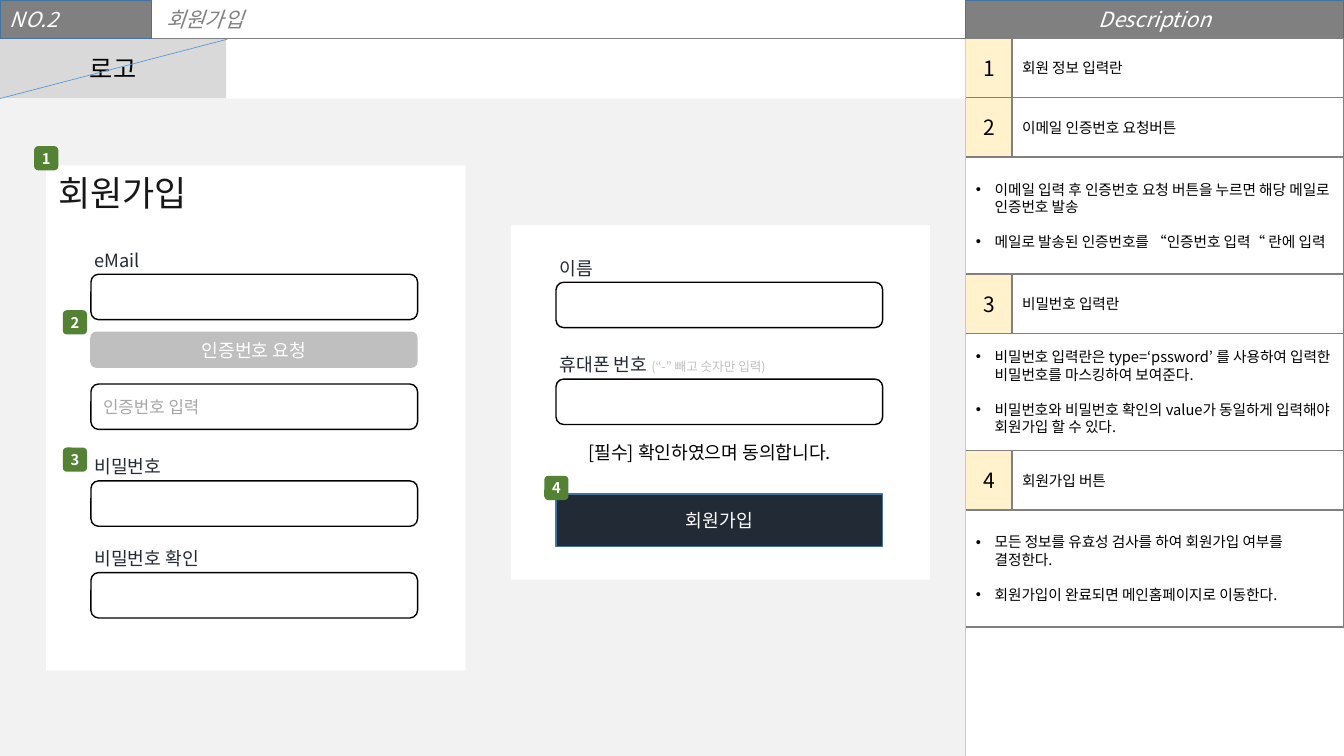
import collections

import lxml.etree
import pptx
import pptx.dml.color
import pptx.enum.shapes
import pptx.enum.text
import pptx.oxml.ns
import pptx.util

Pt = pptx.util.Pt
RGBColor = pptx.dml.color.RGBColor
SHAPE = pptx.enum.shapes.MSO_SHAPE
ALIGN = pptx.enum.text.PP_ALIGN
qn = pptx.oxml.ns.qn
Box = collections.namedtuple("Box", "left top width height")

WHITE = RGBColor(0xFF, 0xFF, 0xFF)
BLACK = RGBColor(0x00, 0x00, 0x00)
GRAY = RGBColor(0x80, 0x80, 0x80)
HINT = RGBColor(0xA6, 0xA6, 0xA6)
SILVER = RGBColor(0xBF, 0xBF, 0xBF)
LOGO_GRAY = RGBColor(0xD9, 0xD9, 0xD9)
CANVAS = RGBColor(0xF2, 0xF2, 0xF2)
CREAM = RGBColor(0xFF, 0xF2, 0xCC)
GREEN = RGBColor(0x54, 0x82, 0x35)
NAVY = RGBColor(0x22, 0x2A, 0x35)
INK = RGBColor(0x18, 0x17, 0x17)
BLUE = RGBColor(0x5B, 0x9B, 0xD5)
DARK_BLUE = RGBColor(0x43, 0x73, 0x9E)

FONT = "Noto Sans CJK KR"
HEADER_HEIGHT = 27.4
ROW_HEIGHT = 42.4
DETAIL_HEIGHT = 83.6
NUMBER_WIDTH = 33.2
FIELD_WIDTH = 233.3
FIELD_HEIGHT = 32.4
LABEL_HEIGHT = 23
BADGE_SIZE = 17.3
LINE_PITCH = 12.5
BULLET_INDENT = 13.5

DESCRIPTIONS = [
    ("회원 정보 입력란", []),
    ("이메일 인증번호 요청버튼", [
        "이메일 입력 후 인증번호 요청 버튼을 누르면 해당 메일로 인증번호 발송",
        "메일로 발송된 인증번호를 “인증번호 입력“ 란에 입력"]),
    ("비밀번호 입력란", [
        "비밀번호 입력란은 type=‘pssword’ 를 사용하여 입력한 비밀번호를 마스킹하여 보여준다.",
        "비밀번호와 비밀번호 확인의 value가 동일하게 입력해야 회원가입 할 수 있다."]),
    ("회원가입 버튼", [
        "모든 정보를 유효성 검사를 하여 회원가입 여부를 결정한다.",
        "회원가입이 완료되면 메인홈페이지로 이동한다."]),
]


def style_font(font, size, color, bold=False, italic=False):
    font.size, font.bold, font.italic = Pt(size), bold, italic
    font.color.rgb = color
    font.name = FONT
    latin = font._rPr.find(qn("a:latin"))
    latin.addnext(latin.makeelement(qn("a:ea"), {"typeface": FONT}))


def prepare_frame(shape):
    frame = shape.text_frame
    frame.word_wrap = True
    frame.auto_size = pptx.enum.text.MSO_AUTO_SIZE.NONE
    frame.vertical_anchor = pptx.enum.text.MSO_ANCHOR.MIDDLE
    return frame


def write(shape, text, size, color, align=ALIGN.LEFT, bold=False, italic=False):
    paragraph = prepare_frame(shape).paragraphs[0]
    paragraph.text = text
    paragraph.alignment = align
    style_font(paragraph.font, size, color, bold, italic)


def paint(shape, fill, line):
    if fill is None:
        shape.fill.background()
    else:
        shape.fill.solid()
        shape.fill.fore_color.rgb = fill
    if line is None:
        shape.line.fill.background()
    else:
        shape.line.color.rgb = line
        shape.line.width = Pt(1)


def add_block(slide, box, fill=None, line=None, kind=SHAPE.RECTANGLE):
    shape = slide.shapes.add_shape(kind, *map(Pt, box))
    shape.shadow.inherit = False
    paint(shape, fill, line)
    return shape


def add_label(slide, left, top, text, size=13, color=NAVY, height=LABEL_HEIGHT):
    label = slide.shapes.add_textbox(Pt(left), Pt(top), Pt(FIELD_WIDTH), Pt(height))
    write(label, text, size, color)
    return label


def add_rule(slide, start, end, color):
    rule = slide.shapes.add_connector(
        pptx.enum.shapes.MSO_CONNECTOR.STRAIGHT, *map(Pt, start + end))
    rule.line.color.rgb = color
    rule.line.width = Pt(0.5)
    lxml.etree.SubElement(rule._element.spPr, qn("a:effectLst"))


def add_field(slide, left, top, label=None):
    field = add_block(slide, Box(left, top, FIELD_WIDTH, FIELD_HEIGHT),
                      line=BLACK, kind=SHAPE.ROUNDED_RECTANGLE)
    if label:
        return add_label(slide, left - 4.5, top - 21.8, label)
    return field


def add_badge(slide, left, top, number):
    badge = add_block(slide, Box(left, top, BADGE_SIZE, BADGE_SIZE), GREEN,
                      kind=SHAPE.ROUNDED_RECTANGLE)
    write(badge, str(number), 10.5, WHITE, ALIGN.CENTER, bold=True)
    badge.text_frame.margin_left = badge.text_frame.margin_right = 0


def place(shape, box):
    shape.left, shape.top, shape.width, shape.height = map(Pt, box)


def fill_details(shape, box, details):
    place(shape, box)
    paint(shape, WHITE, GRAY)
    frame = prepare_frame(shape)
    for index, detail in enumerate(details):
        paragraph = frame.paragraphs[0] if index == 0 else frame.add_paragraph()
        paragraph.text = detail
        paragraph.alignment = ALIGN.LEFT
        paragraph.line_spacing = Pt(LINE_PITCH)
        paragraph.space_before = Pt(LINE_PITCH if index else 0)
        properties = paragraph._p.get_or_add_pPr()
        properties.set("marL", str(Pt(BULLET_INDENT)))
        properties.set("indent", str(-Pt(BULLET_INDENT)))
        lxml.etree.SubElement(properties, qn("a:buFont"), typeface="Arial")
        lxml.etree.SubElement(properties, qn("a:buChar"), char="•")
        style_font(paragraph.font, 10.5, BLACK)


def build_description(slide, box, bodies):
    header = add_block(slide, Box(box.left, box.top, box.width, HEADER_HEIGHT), GRAY, DARK_BLUE)
    write(header, "Description", 15, WHITE, ALIGN.CENTER, italic=True)
    top = box.top + HEADER_HEIGHT
    for number, (heading, details) in enumerate(DESCRIPTIONS, 1):
        heading_cell = add_block(slide, Box(box.left + NUMBER_WIDTH, top,
                                            box.width - NUMBER_WIDTH, ROW_HEIGHT), WHITE, GRAY)
        write(heading_cell, heading, 10.5, BLACK)
        number_cell = add_block(slide, Box(box.left, top, NUMBER_WIDTH, ROW_HEIGHT), CREAM, GRAY)
        write(number_cell, str(number), 15, BLACK, ALIGN.CENTER)
        top += ROW_HEIGHT
        if details:
            fill_details(bodies.pop(0), Box(box.left, top, box.width, DETAIL_HEIGHT), details)
            top += DETAIL_HEIGHT


def build_header(slide, box):
    number = add_block(slide, Box(box.left, box.top, 108.4, box.height), GRAY, DARK_BLUE)
    write(number, "NO.2", 15, WHITE, italic=True)
    title = slide.shapes.title
    place(title, Box(box.left + 111.6, box.top + 1.2, 124, 25.4))
    write(title, "회원가입", 15, GRAY, italic=True)


def build_canvas(slide, box):
    add_block(slide, Box(box.left, box.top, box.width, ROW_HEIGHT), WHITE)
    logo = add_block(slide, Box(box.left, box.top, 161.5, ROW_HEIGHT), LOGO_GRAY)
    write(logo, "로고", 18, BLACK, ALIGN.CENTER)
    bottom = box.top + ROW_HEIGHT
    add_block(slide, Box(box.left, bottom, box.width, box.height - ROW_HEIGHT), CANVAS)
    add_rule(slide, (box.left, bottom), (box.left + 162.5, box.top), BLUE)


def build_account_panel(slide, box):
    add_block(slide, box, WHITE)
    add_label(slide, box.left + 1.4, box.top + 0.7, "회원가입", 25, INK, 37.4)
    left = box.left + 32
    for offset, label in ((77.8, "eMail"), (225.4, "비밀번호"), (290.9, "비밀번호 확인")):
        add_field(slide, left, box.top + offset, label)
    request = add_block(slide, Box(left - 0.5, box.top + 118.8, FIELD_WIDTH + 0.5, 25.9),
                        SILVER, kind=SHAPE.ROUNDED_RECTANGLE)
    write(request, "인증번호 요청", 13, WHITE, ALIGN.CENTER)
    write(add_field(slide, left, box.top + 156.2), "인증번호 입력", 12, HINT)
    for number, (across, down) in enumerate(((-8.6, -13.7), (11.9, 103.5), (11.9, 201.6)), 1):
        add_badge(slide, box.left + across, box.top + down, number)


def build_profile_panel(slide, box):
    add_block(slide, box, WHITE)
    left = box.left + 32.2
    add_field(slide, left, box.top + 41, "이름")
    phone = add_field(slide, left, box.top + 110.2, "휴대폰 번호 ")
    note = phone.text_frame.paragraphs[0].add_run()
    note.text = "(“-” 빼고 숫자만 입력)"
    style_font(note.font, 9, SILVER)
    add_label(slide, box.left + 48.2, box.top + 151.2, "[필수] 확인하였으며 동의합니다.", color=BLACK)
    submit = add_block(slide, Box(left, box.top + 192.2, FIELD_WIDTH, 37.4), NAVY, DARK_BLUE)
    write(submit, "회원가입", 13, WHITE, ALIGN.CENTER)
    add_badge(slide, box.left + 23.8, box.top + 179.3, 4)


def main():
    presentation = pptx.Presentation()
    presentation.slide_width, presentation.slide_height = Pt(960), Pt(540)
    slide = presentation.slides.add_slide(presentation.slide_layouts.get_by_name("Comparison"))
    title, *bodies = slide.placeholders
    add_rule(slide, (0, HEADER_HEIGHT), (960, HEADER_HEIGHT), GRAY)
    add_rule(slide, (689.8, 0), (689.8, 540), GRAY)
    build_description(slide, Box(689.8, 0, 270.2, 540), bodies)
    for unused in bodies:
        unused._element.getparent().remove(unused._element)
    build_header(slide, Box(0, 0, 689.8, HEADER_HEIGHT))
    build_canvas(slide, Box(0, 28, 689.8, 512))
    build_account_panel(slide, Box(33, 118.1, 299.5, 360.7))
    build_profile_panel(slide, Box(365, 160.6, 299.5, 253.4))
    presentation.save("out.pptx")


if __name__ == "__main__":
    main()
